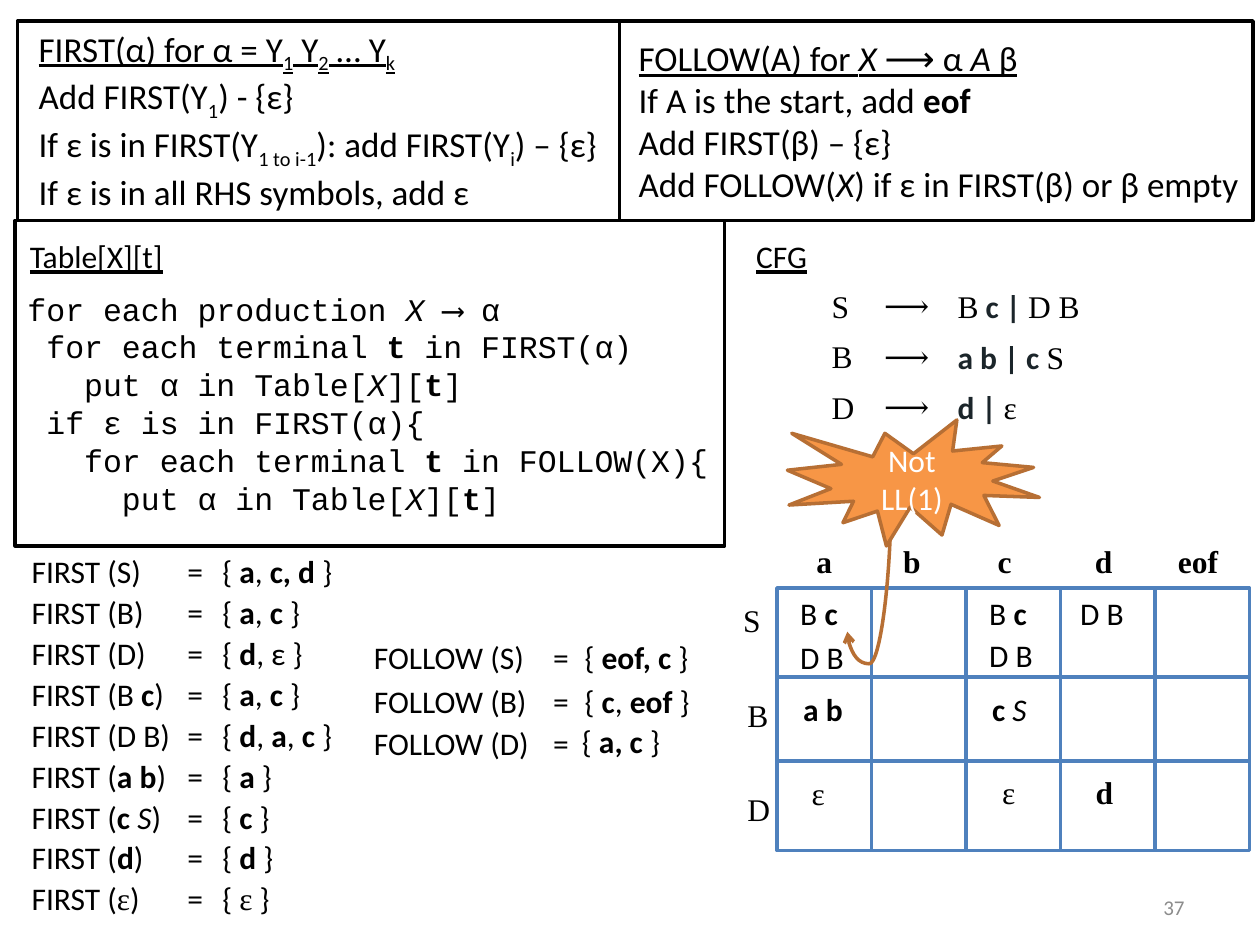
from lxml.etree import SubElement
from pptx import Presentation
from pptx.dml.color import RGBColor
from pptx.enum.shapes import MSO_CONNECTOR, MSO_SHAPE
from pptx.enum.text import MSO_ANCHOR, MSO_AUTO_SIZE, PP_ALIGN
from pptx.oxml.ns import qn
from pptx.util import Pt

BLACK = RGBColor(0x00, 0x00, 0x00)
WHITE = RGBColor(0xFF, 0xFF, 0xFF)
GRAY = RGBColor(0x8C, 0x8C, 0x8C)
INK = RGBColor(0x1B, 0x25, 0x2A)
BLUE = RGBColor(0x4F, 0x81, 0xBD)
ORANGE = RGBColor(0xF7, 0x96, 0x46)
BROWN = RGBColor(0xB7, 0x6F, 0x34)
SANS, SERIF, MONO = "Calibri", "Times New Roman", "Courier New"


class Slide:
    """Markup in text: *bold*, /italic/, _subscript_, ^serif^."""

    def __init__(self, prs):
        self.s = prs.slides.add_slide(prs.slide_layouts[6])

    def runs(self, p, text, size=18, font=SANS, color=BLACK, underline=False, bold_color=None):
        on = dict.fromkeys("*/_^", False)
        part = ""
        for ch in text + "\n":
            if ch not in on and ch != "\n":
                part += ch
                continue
            if part:
                r = p.add_run()
                r.text = part
                f = r.font
                f.size, f.name = Pt(size), SERIF if on["^"] else font
                f.bold, f.italic, f.underline = on["*"], on["/"], underline
                f.color.rgb = bold_color if bold_color and on["*"] else color
                if on["_"]:
                    f._element.set("baseline", "-25000")
            part = ""
            if ch in on:
                on[ch] = not on[ch]

    def text(self, x, y, w, text, h=29, align=PP_ALIGN.LEFT, wrap=False, **style):
        tf = self.s.shapes.add_textbox(Pt(x), Pt(y), Pt(w), Pt(h)).text_frame
        tf.word_wrap = wrap
        tf.auto_size = MSO_AUTO_SIZE.SHAPE_TO_FIT_TEXT
        for i, line in enumerate(text.split("\n")):
            p = tf.paragraphs[0] if i == 0 else tf.add_paragraph()
            p.alignment = align
            underline = style.get("underline", False) and i == 0
            self.runs(p, line, **{**style, "underline": underline})
        return tf

    def shape(self, x, y, w, h, fill=WHITE, line=BLACK, kind=MSO_SHAPE.RECTANGLE):
        sp = self.s.shapes.add_shape(kind, Pt(x), Pt(y), Pt(w), Pt(h))
        sp.shadow.inherit = False
        sp.fill.solid()
        sp.fill.fore_color.rgb = fill
        sp.line.color.rgb = line
        sp.line.width = Pt(2)
        return sp

    def table(self, x, y, widths, row_h, rows):
        shape = self.s.shapes.add_table(len(rows), len(widths), Pt(x), Pt(y),
                                        Pt(sum(widths)), Pt(row_h * len(rows)))
        tb = shape.table
        tb.first_row = tb.horz_banding = False
        for col, w in zip(tb.columns, widths):
            col.width = Pt(w)
        for i, row in enumerate(rows):
            tb.rows[i].height = Pt(row_h)
            for j, (text, font) in enumerate(row):
                cell = tb.cell(i, j)
                cell.fill.background()
                cell.vertical_anchor = MSO_ANCHOR.MIDDLE
                self.runs(cell.text_frame.paragraphs[0], text, font=font, bold_color=INK)

    def curved_arrow(self, x, y, w, h, color, adj):
        """A curve turned by a quarter, with its box given before the turn."""
        c = self.s.shapes.add_connector(MSO_CONNECTOR.CURVE, Pt(x), Pt(y), Pt(x + w), Pt(y + h))
        c.line.color.rgb = color
        c.line.width = Pt(2)
        pr = c._element.spPr
        pr.find(qn("a:xfrm")).set("rot", "5400000")
        geom = pr.find(qn("a:prstGeom"))
        av = geom.find(qn("a:avLst"))
        if av is None:
            av = SubElement(geom, qn("a:avLst"))
        SubElement(av, qn("a:gd"), name="adj1", fmla=f"val {adj}")
        SubElement(pr.find(qn("a:ln")), qn("a:tailEnd"), type="arrow")
        SubElement(pr, qn("a:effectLst"))


prs = Presentation()
prs.slide_width, prs.slide_height = Pt(720), Pt(540)
s = Slide(prs)

# Frames for the rules
s.shape(8.64, 126, 405.36, 186)
s.shape(354, 12, 362, 114)
s.shape(10, 12, 344, 114)

# FIRST and FOLLOW rules
s.text(15, 12, 411, "FIRST(α) for α = Y_1_ Y_2_ … Y_k_\nAdd FIRST(Y_1_) - {ε}\n"
       "If ε is in FIRST(Y_1 to i-1_): add FIRST(Y_i_) – {ε}\n"
       "If ε is in all RHS symbols, add ε", h=104, wrap=True, size=20, underline=True)
s.text(357.84, 17.5, 362, "FOLLOW(A) for /X/ ⟶ α /A/ β\nIf A is the start, add *eof*\n"
       "Add FIRST(β) – {ε}\nAdd FOLLOW(/X/) if ε in FIRST(β) or β empty",
       h=104, wrap=True, size=20, underline=True)

# Table-filling algorithm, indented by whole characters
s.text(10, 132, 91.5, "Table[X][t]", underline=True)
code = [(0, "for each production /X/ ⟶ α"),
        (1, "for each terminal *t* in FIRST(α)"),
        (3, "put α in Table[/X/][*t*]"),
        (1, "if ε is in FIRST(α){"),
        (3, "for each terminal *t* in FOLLOW(X){"),
        (5, "put α in Table[/X/][*t*]")]
tf = s.text(8.64, 162, 405.36, "\n".join(line for _, line in code), h=138, font=MONO)
for p, (level, _) in zip(tf.paragraphs, code):
    p._p.get_or_add_pPr().set("marL", str(Pt(10.8 * level)))

# Grammar
s.text(425, 132, 44, "CFG", underline=True)
grammar = [("S", "^B^ *c |* ^D B^"), ("B", "*a b | c* ^S^"), ("D", "*d |* ^ε^")]
s.table(468, 161.3, [30, 42, 96], 28.8,
        [[(left, SERIF), ("⟶", "Cambria"), (right, SANS)] for left, right in grammar])

# FIRST sets: label, label width, set, set width
firsts = [("S", 78, "*a*, *c, d*", 83), ("B", 79, "*a*, *c*", 63.5),
          ("D", 80.5, "*d*, ε", 65), ("B *c*", 91, "*a*, *c*", 63.5),
          ("D B", 94.5, "*d*, *a*, *c*", 82), ("*a b*", 92, "*a*", 44),
          ("*c* /S/", 89, "*c*", 42), ("*d*", 79, "*d*", 44), ("^ε^", 78, "^ε^", 42)]
for i, (name, name_w, members, members_w) in enumerate(firsts):
    y = 311.8 + 23.4 * i
    s.text(11, y, name_w, f"FIRST ({name})")
    s.text(100, y, 24, "=")
    s.text(120, y, members_w, f"{{ {members} }} ")

# FOLLOW sets
follows = [("S", 361, 101.5, "*eof, c*", 327, 78.5), ("B", 386, 103, "*c*, *eof*", 327, 75),
           ("D", 410, 104.5, "*a, c*", 325.5, 64)]
for name, y, name_w, members, x, members_w in follows:
    s.text(206.6, y, name_w, f"FOLLOW ({name})")
    s.text(309, y, 24, "=")
    s.text(x, y - (name == "D"), members_w, f"{{ {members} }}")

# Parse table grid with row and column heads
for y in (387, 435, 336):
    for col in range(5):
        s.shape(444 + 54 * col, y, 54, 51, line=BLUE)
for name, x, y in (("S", 417.6, 340), ("B", 420, 394), ("D", 420, 448)):
    s.text(x, y, 27, name, font=SERIF)
for name, x, w in (("a", 459.4, 24.5), ("b", 509, 26), ("c", 563, 24.5),
                   ("d", 618.5, 26), ("eof", 666, 42)):
    s.text(x, 306, w, f"*{name}*", font=SERIF)

# Parse table entries
entries = [(450, 336, 36, "B *c*"), (558, 336, 36, "B *c*"), (610, 336, 39.5, "D B"),
           (450, 361, 39.5, "D B"), (558, 360, 39.5, "D B"),
           (451.5, 391, 37.5, "*a b*"), (559.5, 390.5, 34.5, "*c* /S/"),
           (456, 439, 23, "^ε^"), (565, 438, 23, "^ε^"), (618, 438, 26, "^*d*^")]
for x, y, w, text in entries:
    s.text(x, y, w, text, align=PP_ALIGN.CENTER)

# Verdict with its arrow to the conflict
s.curved_arrow(457.2, 309, 79, 25, BROWN, 123200)
burst = s.shape(450, 240, 144, 72, ORANGE, BROWN, MSO_SHAPE.EXPLOSION1)
tf = burst.text_frame
tf.word_wrap = True
tf.vertical_anchor = MSO_ANCHOR.MIDDLE
tf.paragraphs[0].alignment = PP_ALIGN.CENTER
s.runs(tf.paragraphs[0], "Not LL(1)", color=WHITE)

# Slide number
tf = s.text(516, 504, 168, "37", wrap=True, align=PP_ALIGN.RIGHT, size=12, color=GRAY)
tf.auto_size = MSO_AUTO_SIZE.NONE
tf.vertical_anchor = MSO_ANCHOR.MIDDLE

prs.save("out.pptx")
